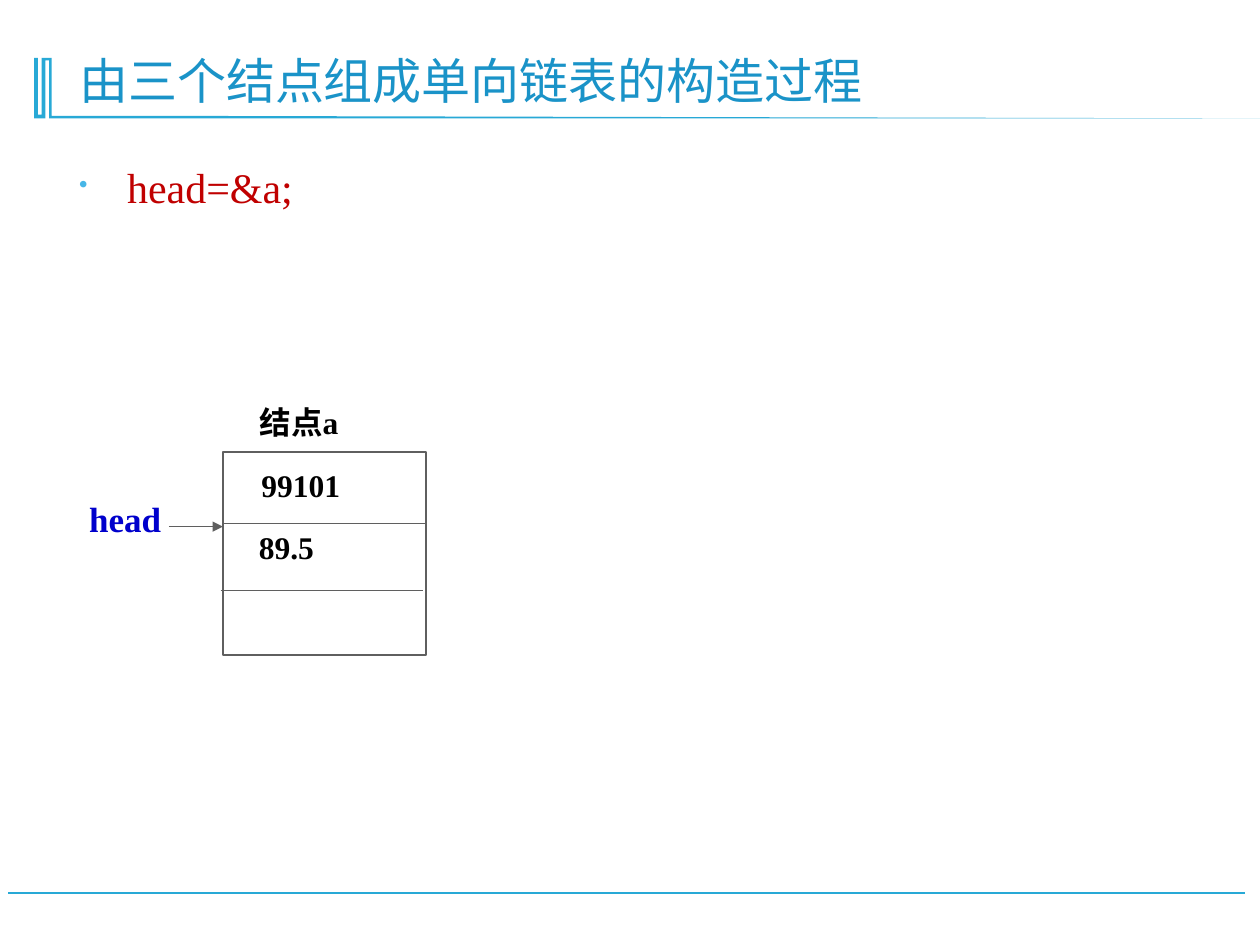
"""Build the slide on linking head to node a of a singly linked list."""
from dataclasses import dataclass

from lxml import etree
from pptx import Presentation, util as u
from pptx.dml.color import RGBColor
from pptx.enum import shapes, text
from pptx.oxml import ns


@dataclass(frozen=True)
class Theme:
    font: str = "Times New Roman"
    accent: str = "28A9D6"
    title: str = "1A93C8"
    bullet: str = "47B6E7"
    code: str = "C00000"
    pointer: str = "0000CC"
    ink: str = "000000"
    outline: str = "5F5F5F"
    paper: str = "FFFFFF"
    title_size: float = 28
    code_size: float = 24
    pointer_size: float = 20
    field_size: float = 18


@dataclass(frozen=True)
class Box:
    """A rectangle in columns and rows of the slide grid."""
    left: float
    top: float
    width: float
    height: float

    @property
    def right(self) -> float:
        return self.left + self.width

    def emu(self) -> tuple:
        return col(self.left), row(self.top), col(self.width), row(self.height)


@dataclass(frozen=True)
class Label:
    words: str
    box: Box
    size: float
    color: str
    indent: float = 0


@dataclass(frozen=True)
class Rule:
    start: tuple
    end: tuple
    color: str
    weight: float
    kind: shapes.MSO_CONNECTOR = shapes.MSO_CONNECTOR.STRAIGHT
    arrow: bool = False


THEME = Theme()
COLUMNS, ROWS = 100, 75
SLIDE_WIDTH, SLIDE_HEIGHT = u.Inches(10), u.Inches(7.5)
INSET = 1

TITLE = Box(5.3, 2.8, 88.5, 6.4)
STATEMENT = Box(5.3, 12.8, 88.5, 5.9)
NODE = Box(17.7, 35.9, 16.1, 16.1)
FIRST_DIVIDER, SECOND_DIVIDER = (NODE.top + share * NODE.height for share in (0.35, 0.68))
POINTER_ROW = 41.8

LABELS = [
    Label("head", Box(6.1, 39, 9.3, 4.4), THEME.pointer_size, THEME.pointer),
    Label("结点a", Box(NODE.left, 31.5, NODE.width, 4), THEME.field_size, THEME.ink, 1.9),
    Label("99101", Box(18.5, 36.5, 14.4, 3.8), THEME.field_size, THEME.ink, 1.25),
    Label("89.5", Box(18.3, 41.4, 14.4, 3.8), THEME.field_size, THEME.ink, 1.25),
]
FOOTER = Rule((98.8, 70.9), (0.6, 70.9), THEME.accent, 1.25)
LINKS = [
    Rule((13.4, POINTER_ROW), (NODE.left, POINTER_ROW), THEME.outline, 0.75,
         shapes.MSO_CONNECTOR.ELBOW, True),
    Rule((NODE.left, FIRST_DIVIDER), (NODE.right, FIRST_DIVIDER), THEME.outline, 0.75),
    Rule((NODE.left - 0.2, SECOND_DIVIDER), (NODE.right - 0.2, SECOND_DIVIDER),
         THEME.outline, 0.75),
]
TITLE_MARK = [
    (4.1, 4.6), (4.1, 9.2), (14, 9.2), (100.9, 9.4), (3.9, 9.4), (3.9, 4.8), (3.6, 4.8),
    (3.6, 9.4), (2.7, 9.4), (2.7, 4.6), (3, 4.6), (3, 9.1), (3.3, 9.1), (3.3, 4.6),
]


def col(count: float) -> int:
    return round(SLIDE_WIDTH * count / COLUMNS)


def row(count: float) -> int:
    return round(SLIDE_HEIGHT * count / ROWS)


def rgb(color: str) -> RGBColor:
    return RGBColor.from_string(color)


def write(frame, words: str, size: float, color: str, bold: bool = False):
    """Fill a text frame with one styled paragraph and return it."""
    frame.word_wrap = True
    paragraph = frame.paragraphs[0]
    paragraph.text = words
    paragraph.alignment = text.PP_ALIGN.LEFT
    font = paragraph.font
    font.name, font.size, font.bold = THEME.font, u.Pt(size), bold
    font.color.rgb = rgb(color)
    return paragraph


def draw_label(slide, label: Label) -> None:
    frame = slide.shapes.add_textbox(*label.box.emu()).text_frame
    frame.margin_left = col(INSET + label.indent)
    write(frame, label.words, label.size, label.color, bold=True)


def draw_rule(slide, rule: Rule) -> None:
    (x1, y1), (x2, y2) = rule.start, rule.end
    line = slide.shapes.add_connector(rule.kind, col(x1), row(y1), col(x2), row(y2))
    line.line.color.rgb = rgb(rule.color)
    line.line.width = u.Pt(rule.weight)
    if rule.arrow:
        etree.SubElement(line.line._get_or_add_ln(), ns.qn("a:tailEnd"), type="triangle")
    etree.SubElement(line._element.spPr, ns.qn("a:effectLst"))


def draw_title(slide) -> None:
    points = [(col(x), row(y)) for x, y in TITLE_MARK]
    builder = slide.shapes.build_freeform(*points[0])
    builder.add_line_segments(points[1:], close=True)
    mark = builder.convert_to_shape()
    mark.shadow.inherit = False
    mark.fill.solid()
    mark.fill.fore_color.rgb = rgb(THEME.accent)
    mark.line.fill.background()

    heading = slide.shapes.title
    heading.left, heading.top, heading.width, heading.height = TITLE.emu()
    frame = heading.text_frame
    frame.auto_size = text.MSO_AUTO_SIZE.NONE
    frame.vertical_anchor = text.MSO_ANCHOR.BOTTOM
    write(frame, "由三个结点组成单向链表的构造过程", THEME.title_size, THEME.title).line_spacing = 0.9


def draw_statement(slide) -> None:
    frame = slide.shapes.add_textbox(*STATEMENT.emu()).text_frame
    paragraph = write(frame, "head=&a;", THEME.code_size, THEME.code)
    paragraph.line_spacing = 0.9
    paragraph.space_before = u.Pt(13.5)
    props = paragraph._p.get_or_add_pPr()
    props.set("marL", str(col(3.8)))
    props.set("indent", str(-col(3.8)))
    bullet_color = etree.Element(ns.qn("a:buClr"))
    etree.SubElement(bullet_color, ns.qn("a:srgbClr"), val=THEME.bullet)
    bullet_size = etree.Element(ns.qn("a:buSzPct"), val="60000")
    bullet_char = etree.Element(ns.qn("a:buChar"), char="•")
    run_defaults = props.find(ns.qn("a:defRPr"))
    for part in (bullet_color, bullet_size, bullet_char):
        run_defaults.addprevious(part)


def draw_node(slide) -> None:
    node = slide.shapes.add_shape(shapes.MSO_SHAPE.RECTANGLE, *NODE.emu())
    node.shadow.inherit = False
    node.fill.solid()
    node.fill.fore_color.rgb = rgb(THEME.paper)
    node.line.color.rgb = rgb(THEME.outline)
    node.line.width = u.Pt(1)


def main() -> None:
    deck = Presentation()
    deck.slide_width, deck.slide_height = SLIDE_WIDTH, SLIDE_HEIGHT
    slide = deck.slides.add_slide(deck.slide_layouts.get_by_name("Title Only"))
    draw_rule(slide, FOOTER)
    draw_title(slide)
    draw_statement(slide)
    draw_node(slide)
    for link in LINKS:
        draw_rule(slide, link)
    for label in LABELS:
        draw_label(slide, label)
    deck.save("out.pptx")


if __name__ == "__main__":
    main()
